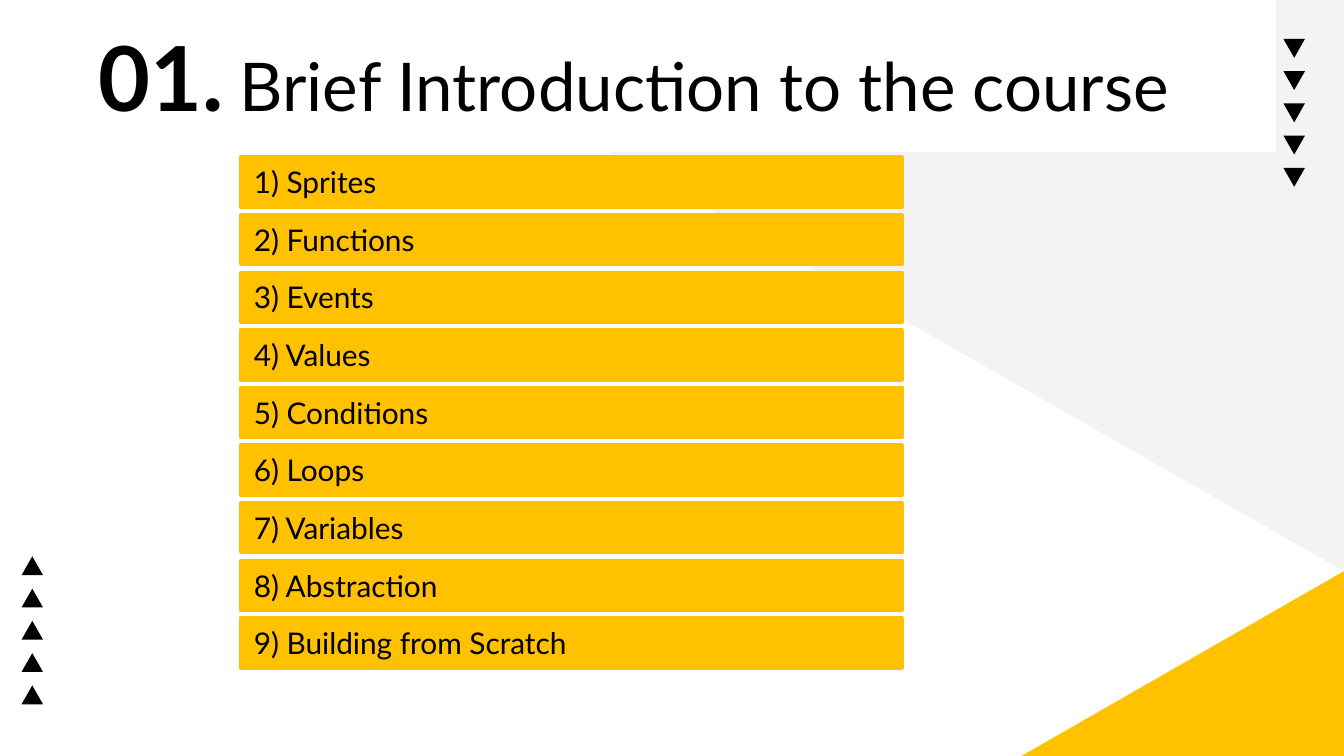
from dataclasses import dataclass

from pptx import Presentation
from pptx.dml.color import RGBColor
from pptx.enum.shapes import MSO_SHAPE
from pptx.enum.text import MSO_ANCHOR, MSO_AUTO_SIZE, PP_ALIGN
from pptx.util import Inches, Pt

SECTION_NUMBER = "01."
SECTION_TITLE = "Brief Introduction to the course"
TOPICS = [
    "Sprites", "Functions", "Events", "Values", "Conditions",
    "Loops", "Variables", "Abstraction", "Building from Scratch",
]


@dataclass(frozen=True)
class Theme:
    font: str = "Lato"
    ink: RGBColor = RGBColor(0, 0, 0)
    paper: RGBColor = RGBColor(0xFF, 0xFF, 0xFF)
    shade: RGBColor = RGBColor(0xF3, 0xF3, 0xF3)
    accent: RGBColor = RGBColor(0xFF, 0xC1, 0x00)
    accent_line: RGBColor = RGBColor(0xFF, 0xC0, 0x00)
    number_size: int = 48
    title_size: int = 36
    topic_size: int = 16
    line_width: int = 2


THEME = Theme()
WIDTH = 10
HEIGHT = WIDTH * 9 / 16
HORIZON = 4.25  # where the two corner triangles meet on the right edge
SHADE_WIDTH, ACCENT_WIDTH = 7.45, 2.4
TITLE_BOX = (0.63, 0.01, 8.85, 1.11)
BAR_LEFT, BAR_WIDTH, BAR_HEIGHT = 1.79, 4.92, 0.37
FIRST_BAR_TOP, LAST_BAR_TOP = 1.17, 4.6
BAR_PITCH = (LAST_BAR_TOP - FIRST_BAR_TOP) / (len(TOPICS) - 1)
MARKER_COUNT, MARKER_WIDTH, MARKER_HEIGHT, MARKER_PITCH = 5, 0.16, 0.14, 0.24


def paint(shape, fill, line=None):
    shape.fill.solid()
    shape.fill.fore_color.rgb = fill
    if line is None:
        shape.line.fill.background()
    else:
        shape.line.color.rgb = line
        shape.line.width = Pt(THEME.line_width)


def add_shape(shapes, kind, box, fill, line=None, rotation=0):
    shape = shapes.add_shape(kind, *map(Inches, box))
    shape.shadow.inherit = False
    shape.rotation = rotation
    paint(shape, fill, line)
    return shape


def write(para, text, size, bold=False):
    span = para.add_run()
    span.text = text
    span.font.name = THEME.font
    span.font.size = Pt(size)
    span.font.bold = bold
    span.font.color.rgb = THEME.ink


def set_frame(shape, anchor, align, inset):
    """Fix the text frame's layout and return its first paragraph."""
    frame = shape.text_frame
    frame.word_wrap = True
    frame.auto_size = MSO_AUTO_SIZE.NONE
    frame.vertical_anchor = anchor
    frame.margin_left = frame.margin_right = Inches(0.1)
    frame.margin_top = frame.margin_bottom = Inches(inset)
    para = frame.paragraphs[0]
    para.alignment = align
    return para


def add_corners(slide):
    add_shape(slide.shapes, MSO_SHAPE.RIGHT_TRIANGLE,
              (WIDTH - SHADE_WIDTH, 0, SHADE_WIDTH, HORIZON), THEME.shade, rotation=180)
    corner = add_shape(slide.shapes, MSO_SHAPE.RIGHT_TRIANGLE,
                       (WIDTH - ACCENT_WIDTH, HORIZON, ACCENT_WIDTH, HEIGHT - HORIZON),
                       THEME.accent)
    corner.element.spPr.xfrm.set("flipH", "1")


def add_markers(slide, left, top, rotation=0):
    group = slide.shapes.add_group_shape()
    for row in range(MARKER_COUNT):
        box = (left, top + row * MARKER_PITCH, MARKER_WIDTH, MARKER_HEIGHT)
        add_shape(group.shapes, MSO_SHAPE.FLOWCHART_MERGE, box, THEME.ink, rotation=rotation)


def add_title(slide):
    title = slide.shapes.title
    title.left, title.top, title.width, title.height = map(Inches, TITLE_BOX)
    paint(title, THEME.paper, THEME.paper)
    para = set_frame(title, MSO_ANCHOR.MIDDLE, PP_ALIGN.LEFT, inset=0.1)
    write(para, SECTION_NUMBER, THEME.number_size, bold=True)
    write(para, " ", THEME.title_size, bold=True)
    write(para, SECTION_TITLE, THEME.title_size)
    title.element.getparent().append(title.element)  # in front of the corners


def add_topics(slide):
    for row, topic in enumerate(TOPICS):
        box = (BAR_LEFT, FIRST_BAR_TOP + row * BAR_PITCH, BAR_WIDTH, BAR_HEIGHT)
        bar = add_shape(slide.shapes, MSO_SHAPE.RECTANGLE, box,
                        THEME.accent, THEME.accent_line)
        para = set_frame(bar, MSO_ANCHOR.TOP, PP_ALIGN.JUSTIFY, inset=0.05)
        write(para, f"{row + 1}) {topic}", THEME.topic_size)


def main():
    deck = Presentation()
    deck.slide_width, deck.slide_height = Inches(WIDTH), Inches(HEIGHT)
    slide = deck.slides.add_slide(deck.slide_layouts.get_by_name("Title Only"))
    add_corners(slide)
    add_markers(slide, left=9.55, top=0.29)
    add_markers(slide, left=0.16, top=4.14, rotation=180)
    add_title(slide)
    add_topics(slide)
    deck.save("out.pptx")


if __name__ == "__main__":
    main()
